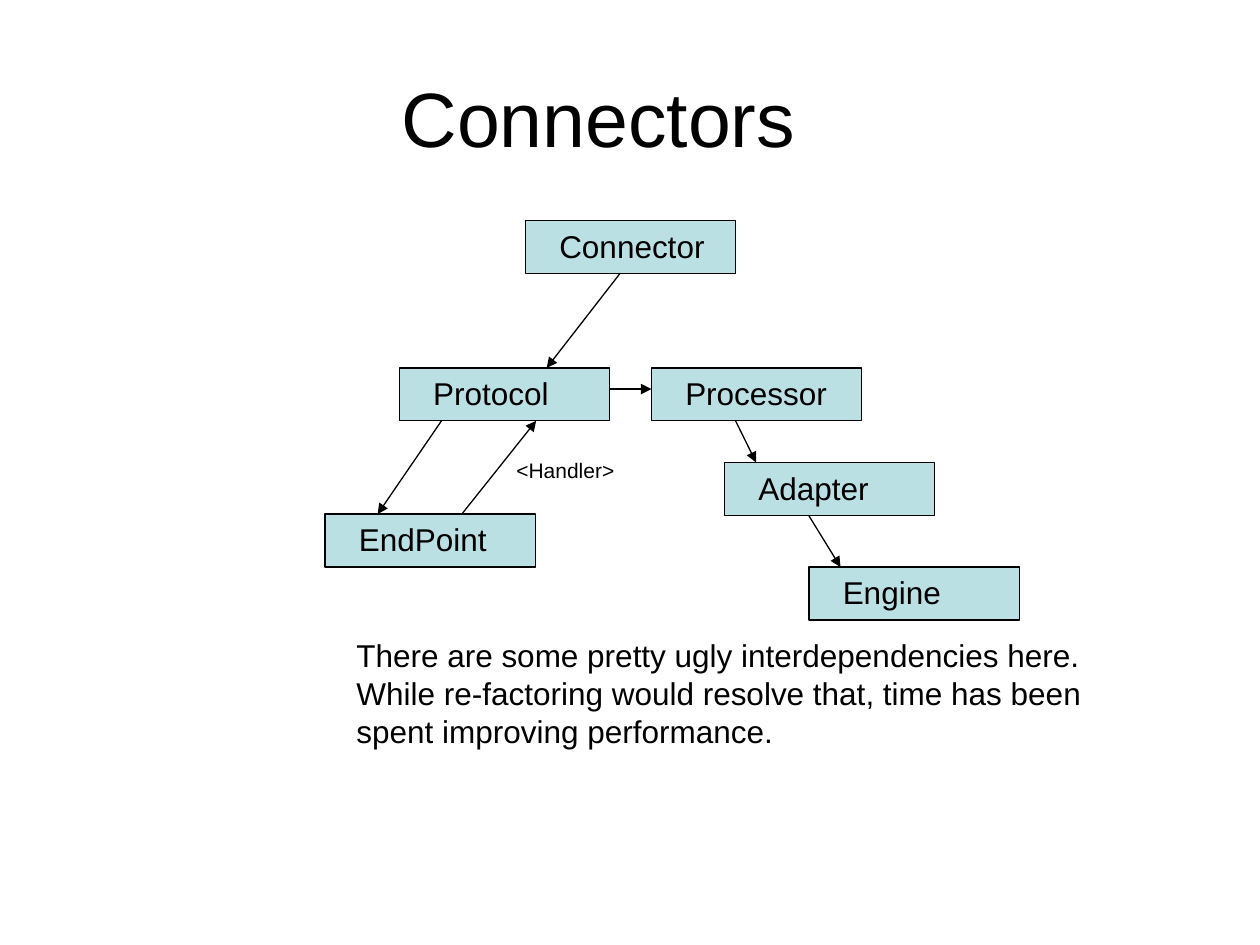
from lxml import etree
from pptx import Presentation
from pptx import util as u
from pptx.dml.color import RGBColor
from pptx.enum import shapes, text
from pptx.oxml.ns import qn

COLORS = {"fill": "BBE0E3", "ink": "000000"}
FONT = "Arial"
NODE_SIZE = (1.67, 0.42)
LABEL_INDENT, LABEL_HEIGHT = 0.17, 0.4

# name: (left, top, label width)
NODES = {
    "Connector": (4.17, 1.75, 1.38),
    "Protocol": (3.17, 2.92, 1.14),
    "EndPoint": (2.58, 4.08, 1.24),
    "Processor": (5.17, 2.92, 1.35),
    "Adapter": (5.75, 3.67, 1.1),
    "Engine": (6.42, 4.5, 1.01),
}
# start node, its (x, y) fraction, end node, its (x, y) fraction
ARROWS = [
    ("Connector", (0.45, 1), "Protocol", (0.7, 0)),
    ("Protocol", (0.2, 1), "EndPoint", (0.25, 0)),
    ("EndPoint", (0.65, 0), "Protocol", (0.65, 1)),
    ("Protocol", (1, 0.4), "Processor", (0, 0.4)),
    ("Processor", (0.4, 1), "Adapter", (0.15, 0)),
    ("Adapter", (0.4, 1), "Engine", (0.15, 0)),
]
REMARK = [
    "There are some pretty ugly interdependencies here.",
    "While re-factoring would resolve that, time has been",
    "spent improving performance.",
]


def color(name):
    return RGBColor.from_string(COLORS[name])


def inches(values):
    return [u.Inches(value) for value in values]


def add_text(parent, box, lines, size, wrap=False,
             align=text.PP_ALIGN.LEFT, anchor=text.MSO_ANCHOR.TOP):
    shape = parent.add_textbox(*inches(box))
    frame = shape.text_frame
    frame_format = {
        "word_wrap": wrap,
        "vertical_anchor": anchor,
        "auto_size": text.MSO_AUTO_SIZE.NONE if wrap
        else text.MSO_AUTO_SIZE.SHAPE_TO_FIT_TEXT,
    }
    for name, value in frame_format.items():
        setattr(frame, name, value)
    for index, line in enumerate(lines):
        paragraph = frame.paragraphs[0] if index == 0 else frame.add_paragraph()
        paragraph.alignment = align
        run = paragraph.add_run()
        run.text = line
        for name, value in {"name": FONT, "size": u.Pt(size)}.items():
            setattr(run.font, name, value)
        run.font.color.rgb = color("ink")


def set_line(line):
    line.color.rgb = color("ink")
    line.width = u.Pt(0.75)


def add_node(slide, name, left, top, label_width):
    group = slide.shapes.add_group_shape()
    shape = group.shapes.add_shape(
        shapes.MSO_SHAPE.RECTANGLE, *inches((left, top, *NODE_SIZE)))
    shape.shadow.inherit = False
    shape.fill.solid()
    shape.fill.fore_color.rgb = color("fill")
    set_line(shape.line)
    label_box = (left + LABEL_INDENT, top, label_width, LABEL_HEIGHT)
    add_text(group.shapes, label_box, [name], 18)


def node_point(name, fraction):
    """Point inside a node, as a fraction of its width and height."""
    return [start + size * part
            for start, size, part in zip(NODES[name][:2], NODE_SIZE, fraction)]


def add_arrow(slide, start, end):
    connector = slide.shapes.add_connector(
        shapes.MSO_CONNECTOR.STRAIGHT, *inches((*start, *end)))
    set_line(connector.line)
    properties = connector._element.spPr
    etree.SubElement(properties.find(qn("a:ln")), qn("a:tailEnd"), type="triangle")
    etree.SubElement(properties, qn("a:effectLst"))


def add_diagram(slide):
    for name, place in NODES.items():
        add_node(slide, name, *place)
    for source, source_part, target, target_part in ARROWS:
        add_arrow(slide, node_point(source, source_part),
                  node_point(target, target_part))
    add_text(slide.shapes, (4, 3.58, 0.98, 0.3), ["<Handler>"], 12)


def main():
    presentation = Presentation()
    presentation.slide_width, presentation.slide_height = inches((10, 7.5))
    slide = presentation.slides.add_slide(presentation.slide_layouts[6])
    add_text(slide.shapes, (0.5, 0.3, 8.5, 1.25), ["Connectors"], 44, wrap=True,
             align=text.PP_ALIGN.CENTER, anchor=text.MSO_ANCHOR.MIDDLE)
    add_diagram(slide)
    add_text(slide.shapes, (2.73, 5, 6.02, 1), REMARK, 18)
    presentation.save("out.pptx")


if __name__ == "__main__":
    main()
